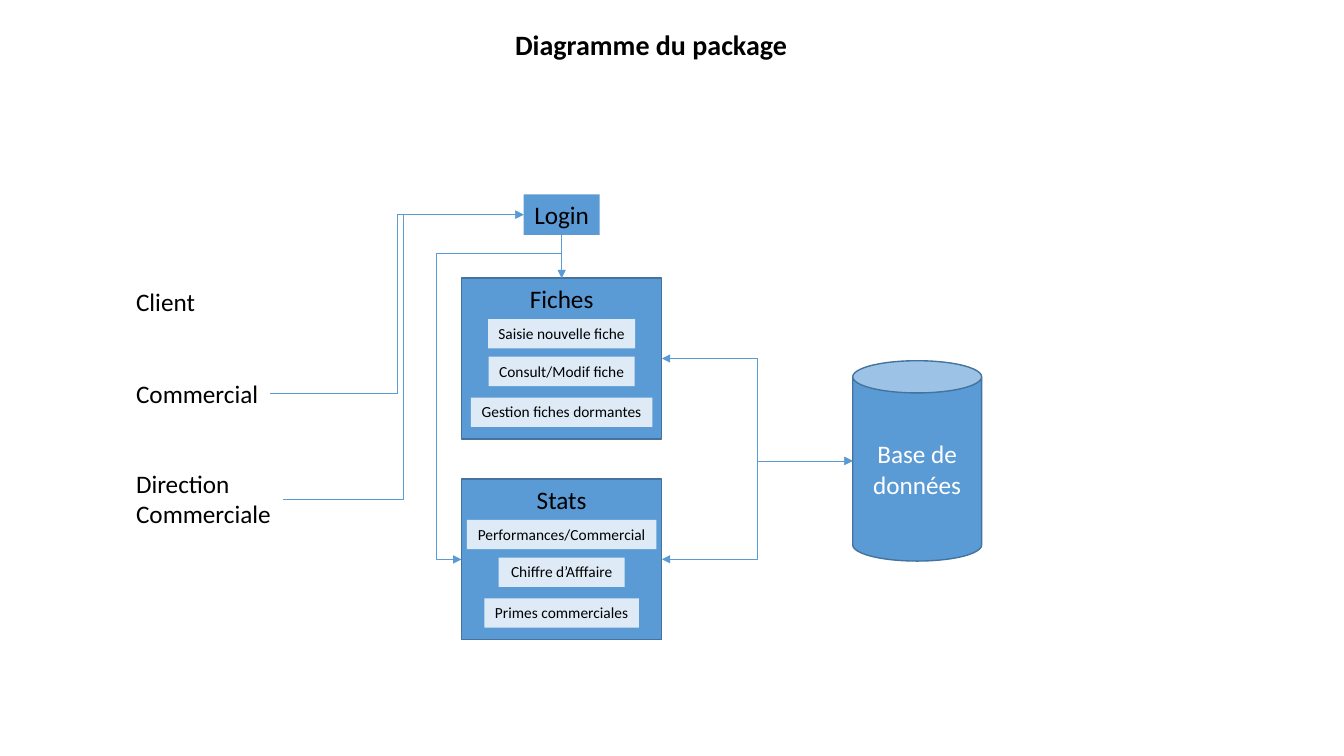
from lxml import etree
from pptx import Presentation
from pptx import util as u
from pptx.dml import color as dml
from pptx.enum import shapes as kinds
from pptx.enum import text as t
from pptx.oxml import ns

COLORS = {"blue": "5B9BD5", "border": "43739E", "pale": "DEEBF7",
          "black": "000000", "white": "FFFFFF"}
FONT = "Calibri"
PACKAGE_WIDTH, PACKAGE_HEIGHT = 5.05, 4.05
LABEL_HEIGHT = 1.02


def rgb(name):
    return dml.RGBColor.from_string(COLORS[name])


def write(shape, content, size=18, color="black", bold=False, spacing=None,
          align=t.PP_ALIGN.CENTER, anchor=t.MSO_ANCHOR.TOP, fit=True):
    """Fill a shape with text, one paragraph per line."""
    frame = shape.text_frame
    frame.text = content
    frame.word_wrap = not fit
    frame.auto_size = t.MSO_AUTO_SIZE.SHAPE_TO_FIT_TEXT if fit else t.MSO_AUTO_SIZE.NONE
    frame.vertical_anchor = anchor
    for paragraph in frame.paragraphs:
        paragraph.alignment = align
        paragraph.line_spacing = spacing
        font = paragraph.runs[0].font
        font.name, font.size, font.bold = FONT, u.Pt(size), bold
        font.color.rgb = rgb(color)


def add_block(slide, box, fill="blue", border=True, kind=kinds.MSO_SHAPE.RECTANGLE):
    shape = slide.shapes.add_shape(kind, *map(u.Cm, box))
    shape.shadow.inherit = False
    shape.fill.solid()
    shape.fill.fore_color.rgb = rgb(fill)
    if border:
        shape.line.color.rgb = rgb("border")
        shape.line.width = u.Pt(1)
    else:
        shape.line.fill.background()
    return shape


def add_label(slide, box, content, **style):
    label = slide.shapes.add_textbox(*map(u.Cm, box))
    write(label, content, **style)
    return label


def add_arrow(slide, start, end, kind=kinds.MSO_CONNECTOR.ELBOW, both=False):
    arrow = slide.shapes.add_connector(kind, *map(u.Cm, (*start, *end)))
    arrow.line.color.rgb = rgb("blue")
    arrow.line.width = u.Pt(0.5)
    line = arrow.line._get_or_add_ln()
    for tag in (["a:headEnd"] if both else []) + ["a:tailEnd"]:
        etree.SubElement(line, ns.qn(tag), type="triangle")
    etree.SubElement(arrow._element.spPr, ns.qn("a:effectLst"))
    return arrow


def add_loop_arrow(slide, start, end, rise, reach):
    """Go up from start, left past end, down, then right into end."""
    across, down = start[0] - end[0], end[1] - start[1]
    middle_x, middle_y = (start[0] + end[0]) / 2, (start[1] + end[1]) / 2
    # The frame lies on its side and is turned by three quarters
    arrow = add_arrow(slide, (middle_x + down / 2, middle_y + across / 2),
                      (middle_x - down / 2, middle_y - across / 2))
    properties = arrow._element.spPr
    properties.find(ns.qn("a:xfrm")).set("rot", str(270 * 60000))
    geometry = properties.find(ns.qn("a:prstGeom"))
    geometry.set("prst", "bentConnector4")
    guides = geometry.find(ns.qn("a:avLst"))
    for name, ratio in (("adj1", -rise / down), ("adj2", 1 + reach / across)):
        etree.SubElement(guides, ns.qn("a:gd"), name=name,
                         fmla=f"val {round(ratio * 100000)}")


def add_title(slide, box):
    title = slide.shapes.title
    title.left, title.top, title.width, title.height = map(u.Cm, box)
    write(title, "Diagramme du package", size=20, bold=True, spacing=0.9,
          anchor=t.MSO_ANCHOR.BOTTOM, fit=False)


def add_actors(slide, left, actors):
    for content, top, width, height in actors:
        add_label(slide, (left, top, width, height), content, align=t.PP_ALIGN.LEFT)


def add_package(slide, box, heading, heading_width, items):
    left, top, width, _ = box
    center = left + width / 2
    package = add_block(slide, box)
    add_label(slide, (center - heading_width / 2, top, heading_width, LABEL_HEIGHT), heading)
    for (content, item_width), offset in zip(items, (1.03, 1.98, 3.01)):
        item = add_block(slide, (center - item_width / 2, top + offset, item_width, 0.74),
                         fill="pale", border=False)
        write(item, content, size=11)
    return package


def main():
    presentation = Presentation()
    presentation.slide_width, presentation.slide_height = u.Cm(33.87), u.Cm(19.05)
    slide = presentation.slides.add_slide(presentation.slide_layouts[0])
    subtitle = slide.placeholders[1]._element
    subtitle.getparent().remove(subtitle)
    add_title(slide, (3.71, 0.61, 25.4, 1.07))

    # Actors
    add_actors(slide, 3.18, [("Client", 7.09, 2.01, LABEL_HEIGHT),
                             ("Commercial", 9.4, 3.63, LABEL_HEIGHT),
                             ("Direction\nCommerciale", 11.68, 3.94, 1.8)])

    # Login and packages
    left, fiches_top, stats_top = 11.63, 7.01, 12.07
    right, center = left + PACKAGE_WIDTH, left + PACKAGE_WIDTH / 2
    login_width, login_top = 1.92, 4.9
    login_left = center - login_width / 2
    login = add_block(slide, (login_left, login_top, login_width, LABEL_HEIGHT), border=False)
    write(login, "Login")
    fiches = add_package(slide, (left, fiches_top, PACKAGE_WIDTH, PACKAGE_HEIGHT), "Fiches", 2.13,
                         [("Saisie nouvelle fiche", 3.71), ("Consult/Modif fiche", 3.68),
                          ("Gestion fiches dormantes", 4.57)])
    add_package(slide, (left, stats_top, PACKAGE_WIDTH, PACKAGE_HEIGHT), "Stats", 1.78,
                [("Performances/Commercial", 4.78), ("Chiffre d’Afffaire", 3.18),
                 ("Primes commerciales", 3.89)])

    # Database
    database_left, database_top, database_height = 21.49, 9.09, 5.05
    database = add_block(slide, (database_left, database_top, 3.25, database_height),
                         kind=kinds.MSO_SHAPE.CAN)
    write(database, "Base de données", color="white", anchor=t.MSO_ANCHOR.MIDDLE, fit=False)

    # Arrows from the actors to the login
    for start in ((6.81, 9.91), (7.14, 12.59)):
        add_arrow(slide, start, (login_left, login_top + LABEL_HEIGHT / 2))

    # Arrows from the login to the packages
    down = add_arrow(slide, (center, login_top + LABEL_HEIGHT), (center, fiches_top),
                     kind=kinds.MSO_CONNECTOR.STRAIGHT)
    down.begin_connect(login, 2)
    down.end_connect(fiches, 0)
    add_loop_arrow(slide, (center, fiches_top), (left, stats_top + PACKAGE_HEIGHT / 2),
                   rise=0.64, reach=0.63)

    # Arrows between the packages and the database
    for top in (fiches_top, stats_top):
        add_arrow(slide, (right, top + PACKAGE_HEIGHT / 2),
                  (database_left, database_top + database_height / 2), both=True)

    presentation.save("out.pptx")


if __name__ == "__main__":
    main()
